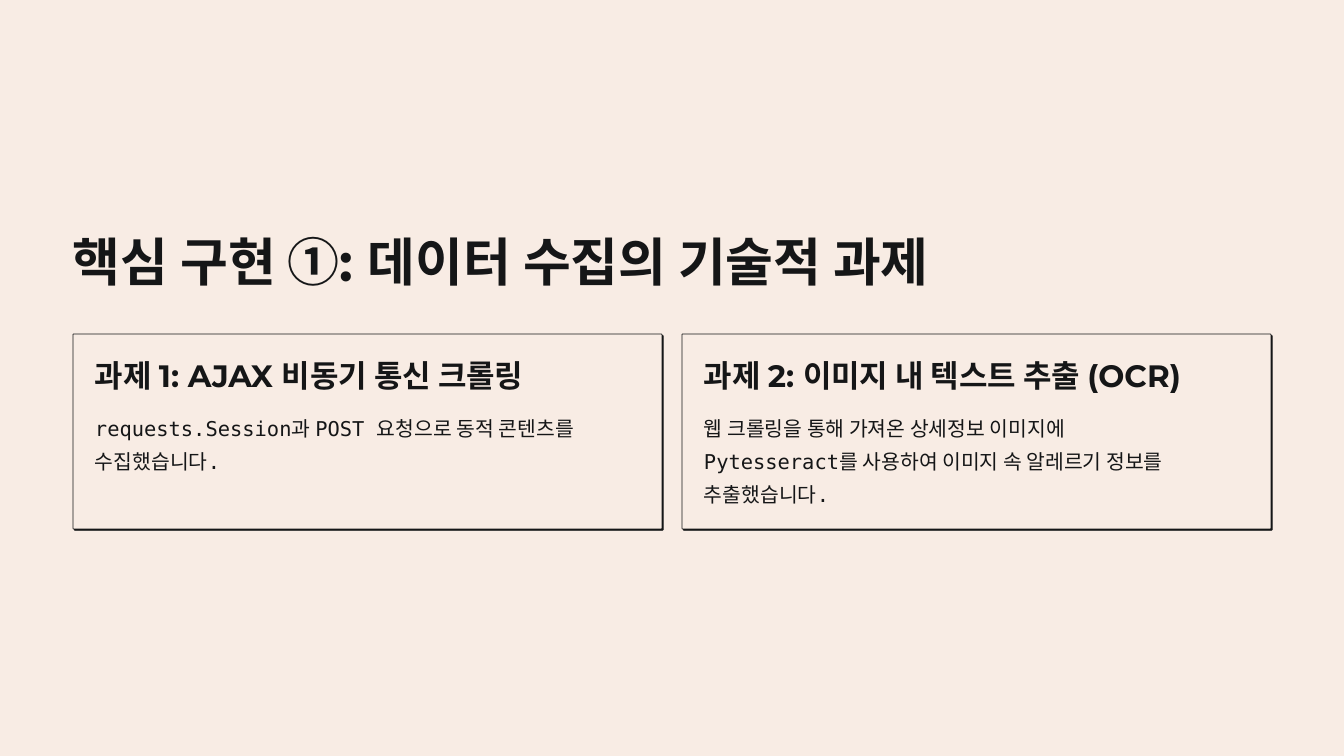
import lxml.etree
import pptx
import pptx.dml.color
import pptx.enum.shapes
import pptx.enum.text
import pptx.oxml.ns
import pptx.util

INK = pptx.dml.color.RGBColor(0x15, 0x16, 0x17)
PAPER = pptx.dml.color.RGBColor(0xF8, 0xEC, 0xE4)
EMU_PER_PX = 914400 / 84

FORMATS = {
    "title": {"name": "Montserrat", "size": pptx.util.Pt(44.5), "bold": True},
    "heading": {"name": "Montserrat", "size": pptx.util.Pt(26.5), "bold": True},
    "body": {"name": "DejaVu Sans Mono", "size": pptx.util.Pt(17.5), "bold": False},
}
LINE_SPACING = {"title": 55.5, "heading": 33, "body": 28.5}

TITLE = "핵심 구현 ①: 데이터 수집의 기술적 과제"
CARDS = [
    (
        "과제 1: AJAX 비동기 통신 크롤링",
        ["requests.Session과 POST 요청으로 동적 콘텐츠를", "수집했습니다."],
    ),
    (
        "과제 2: 이미지 내 텍스트 추출 (OCR)",
        [
            "웹 크롤링을 통해 가져온 상세정보 이미지에",
            "Pytesseract를 사용하여 이미지 속 알레르기 정보를",
            "추출했습니다.",
        ],
    ),
]
LEFT = 73
CARD_TOP = 334
CARD_WIDTH = 589
CARD_HEIGHT = 195
CARD_GAP = 20
PADDING_X = 22
PADDING_Y = 21
CONTENT_WIDTH = 2 * CARD_WIDTH + CARD_GAP


def px(*lengths):
    return [pptx.util.Emu(round(length * EMU_PER_PX)) for length in lengths]


class SlideBuilder:
    def __init__(self, presentation):
        self.slide = presentation.slides.add_slide(presentation.slide_layouts[6])
        fill = self.slide.background.fill
        fill.solid()
        fill.fore_color.rgb = PAPER

    def text(self, style, lines, left, top, width, height):
        shape = self.slide.shapes.add_textbox(*px(left, top, width, height))
        frame = shape.text_frame
        frame_format = {
            "margin_left": 0,
            "margin_top": 0,
            "margin_right": 0,
            "margin_bottom": 0,
            "word_wrap": True,
            "vertical_anchor": pptx.enum.text.MSO_ANCHOR.TOP,
        }
        for attribute, value in frame_format.items():
            setattr(frame, attribute, value)
        frame.text = "\n".join(lines)
        for paragraph in frame.paragraphs:
            paragraph.line_spacing = pptx.util.Pt(LINE_SPACING[style])
            font = paragraph.runs[0].font
            for attribute, value in FORMATS[style].items():
                setattr(font, attribute, value)
            font.color.rgb = INK

    def panel(self, left, top, width, height):
        shape = self.slide.shapes.add_shape(
            pptx.enum.shapes.MSO_SHAPE.ROUNDED_RECTANGLE, *px(left, top, width, height)
        )
        shape.adjustments[0] = 0.004
        shape.fill.solid()
        shape.fill.fore_color.rgb = PAPER
        shape.line.color.rgb = INK
        shape.line.width = pptx.util.Pt(0.6)
        self.hard_shadow(shape)

    def hard_shadow(self, shape):
        shape.shadow.inherit = False
        qn = pptx.oxml.ns.qn
        effects = shape.element.spPr.find(qn("a:effectLst"))
        shadow = lxml.etree.SubElement(effects, qn("a:outerShdw"))
        shadow_format = {
            "blurRad": "0",
            "dist": str(int(pptx.util.Pt(1.6))),
            "dir": str(45 * 60000),
            "algn": "bl",
            "rotWithShape": "0",
        }
        for attribute, value in shadow_format.items():
            shadow.set(attribute, value)
        lxml.etree.SubElement(shadow, qn("a:srgbClr")).set("val", str(INK))

    def card(self, left, heading, lines):
        self.panel(left, CARD_TOP, CARD_WIDTH, CARD_HEIGHT)
        inner_left = left + PADDING_X
        inner_width = CARD_WIDTH - 2 * PADDING_X
        self.text("heading", [heading], inner_left, CARD_TOP + PADDING_Y, inner_width, 39)
        self.text("body", lines, inner_left, 407, inner_width, 33 * len(lines))


def main():
    presentation = pptx.Presentation()
    presentation.slide_width, presentation.slide_height = px(1344, 756)
    builder = SlideBuilder(presentation)
    builder.text("title", [TITLE], LEFT, 227, CONTENT_WIDTH, 66)
    for index, (heading, lines) in enumerate(CARDS):
        builder.card(LEFT + index * (CARD_WIDTH + CARD_GAP), heading, lines)
    presentation.save("out.pptx")


if __name__ == "__main__":
    main()
